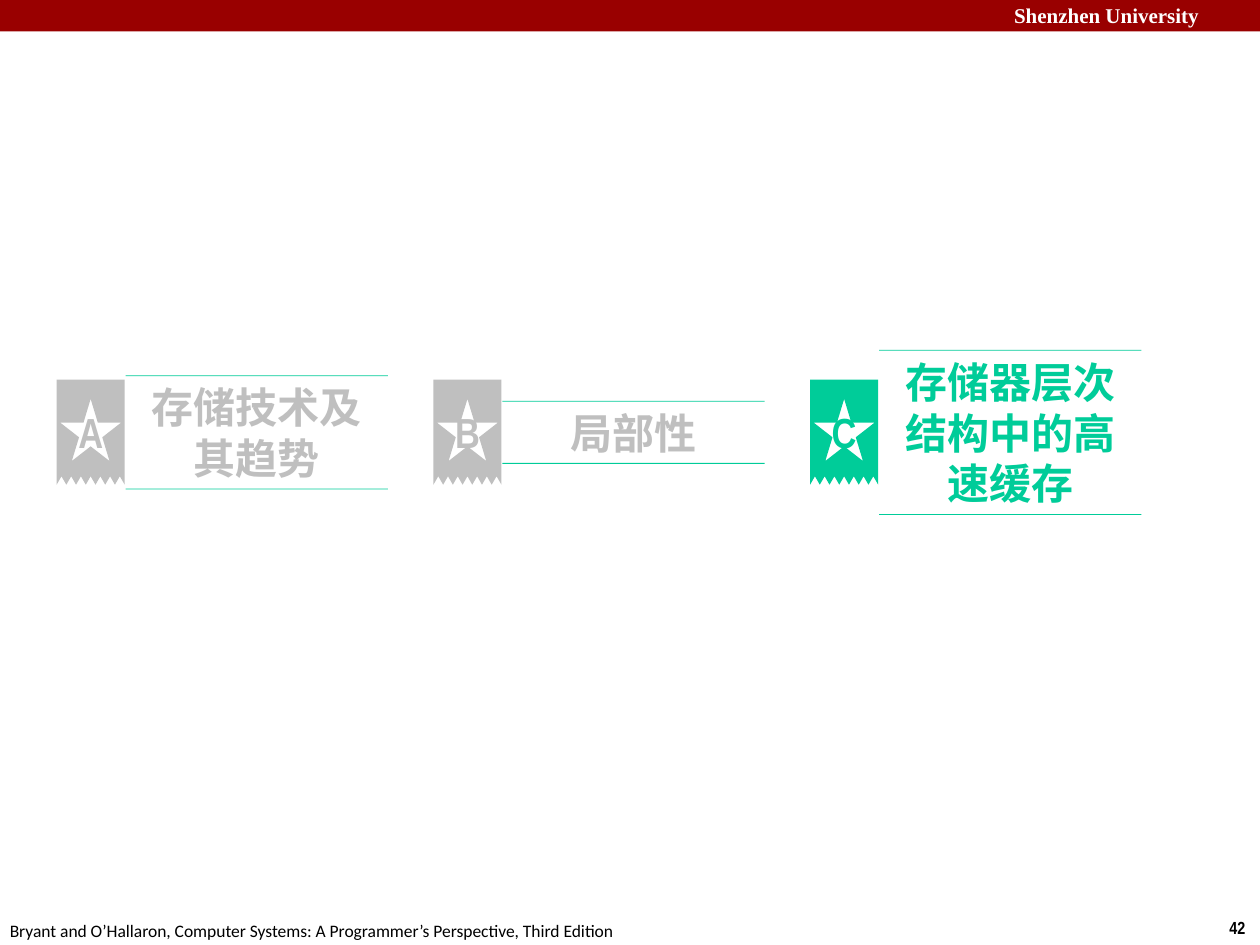
from math import cos, pi, sin

from pptx import Presentation
from pptx.dml.color import RGBColor
from pptx.enum.shapes import MSO_SHAPE
from pptx.enum.text import MSO_ANCHOR, PP_ALIGN
from pptx.util import Pt

COLORS = {
    "banner": "990000",
    "active": "00CC99",
    "muted": "BFBFBF",
    "white": "FFFFFF",
    "black": "000000",
}
MIDDLE = 247.1
FIRST_LEFT, SECTION_PITCH = 32.4, 215.28
BADGE_TOP, BADGE_WIDTH, BADGE_HEIGHT = 216.9, 38.9, 60.1
TEETH, TOOTH_DEPTH = 7, 4.8
STAR_MIDDLE, STAR_RADIUS_X, STAR_RADIUS_Y = 247.6, 18.3, 19.6
STAR_INNER_RATIO = 0.382
TITLE_OFFSET, TITLE_WIDTH = 39.4, 149.8
ONE_LINE_HEIGHT, LINE_HEIGHT, RULE_THICKNESS = 36, 29.2, 0.5
SECTIONS = [
    ("A", "存储技术及其趋势", 2, "muted"),
    ("B", "局部性", 1, "muted"),
    ("C", "存储器层次结构中的高速缓存", 3, "active"),
]


def fill_plain(shape, color):
    shape.fill.solid()
    shape.fill.fore_color.rgb = RGBColor.from_string(COLORS[color])
    shape.line.fill.background()
    shape.shadow.inherit = False


def set_text(shape, text, size, font_name, color, bold=True, alignment=PP_ALIGN.LEFT):
    paragraph = shape.text_frame.paragraphs[0]
    paragraph.text = text
    paragraph.alignment = alignment
    font = paragraph.font
    font.size = Pt(size)
    font.name = font_name
    font.bold = bold
    font.color.rgb = RGBColor.from_string(COLORS[color])


def add_label(slide, left, top, width, height, *text_style, wrap=False, bold=True):
    box = slide.shapes.add_textbox(Pt(left), Pt(top), Pt(width), Pt(height))
    box.text_frame.word_wrap = wrap
    set_text(box, *text_style, bold=bold)


def add_outline(slide, contours, color, text, text_color):
    """Add one filled freeform of several closed contours, with centred text."""
    contours = [[(Pt(x), Pt(y)) for x, y in contour] for contour in contours]
    builder = slide.shapes.build_freeform(*contours[0][0])
    for index, contour in enumerate(contours):
        if index:
            builder.move_to(*contour[0])
        builder.add_line_segments(contour[1:], close=True)
    shape = builder.convert_to_shape()
    fill_plain(shape, color)
    shape.text_frame.word_wrap = True
    shape.text_frame.vertical_anchor = MSO_ANCHOR.MIDDLE
    set_text(shape, text, 24, "Arial Narrow", text_color, alignment=PP_ALIGN.CENTER)


def star_points(center_x):
    """Return star corners counterclockwise, so that the star becomes a hole."""
    points = []
    for index in range(10):
        ratio = STAR_INNER_RATIO if index % 2 else 1
        angle = index * pi / 5
        points.append((center_x - STAR_RADIUS_X * ratio * sin(angle),
                       STAR_MIDDLE - STAR_RADIUS_Y * ratio * cos(angle)))
    return points


def add_badge(slide, left, letter, color):
    right, bottom = left + BADGE_WIDTH, BADGE_TOP + BADGE_HEIGHT
    step = BADGE_WIDTH / (2 * TEETH)
    ribbon = [(left, BADGE_TOP), (right, BADGE_TOP)]
    ribbon += [(right - index * step, bottom - TOOTH_DEPTH * (index % 2))
               for index in range(2 * TEETH + 1)]
    star = star_points(left + BADGE_WIDTH / 2)
    add_outline(slide, [star, ribbon], color, letter, color)


def add_ruled_title(slide, left, title, line_count, color):
    """Add a title between two thin rules whose distance follows its line count."""
    height = ONE_LINE_HEIGHT + (line_count - 1) * LINE_HEIGHT
    top, right = MIDDLE - height / 2, left + TITLE_WIDTH
    rules = [[(left, y), (right, y), (right, y + RULE_THICKNESS), (left, y + RULE_THICKNESS)]
             for y in (top + height - RULE_THICKNESS, top)]
    add_outline(slide, rules, "active", title, color)


def add_frame(slide):
    banner = slide.shapes.add_shape(MSO_SHAPE.RECTANGLE, 0, 0, Pt(720), Pt(18))
    fill_plain(banner, "banner")
    add_label(slide, 572.4, -2, 152.6, 21.6,
              "Shenzhen University", 12, "Times New Roman", "white", wrap=True)
    add_label(slide, 695.5, 520.6, 24.5, 19.4, "42", 10, "Arial Narrow", "black")
    add_label(slide, -1.5, 522, 366.5, 19.4,
              "Bryant and O’Hallaron, Computer Systems: A Programmer’s Perspective, Third Edition",
              10, "Calibri", "black", bold=False)


def main():
    presentation = Presentation()
    presentation.slide_width, presentation.slide_height = Pt(720), Pt(540)
    slide = presentation.slides.add_slide(presentation.slide_layouts[6])
    add_frame(slide)
    for index, (letter, title, line_count, color) in enumerate(SECTIONS):
        left = FIRST_LEFT + index * SECTION_PITCH
        add_badge(slide, left, letter, color)
        add_ruled_title(slide, left + TITLE_OFFSET, title, line_count, color)
    presentation.save("out.pptx")


if __name__ == "__main__":
    main()
